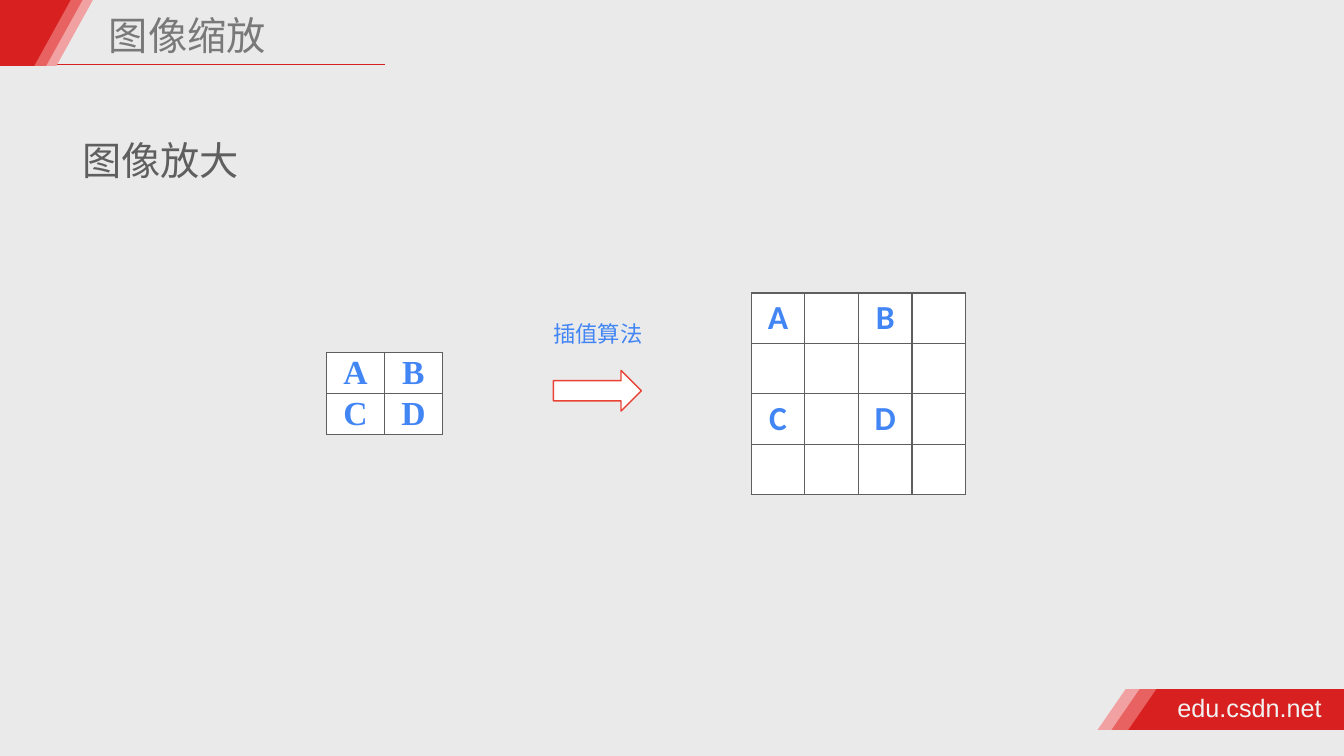
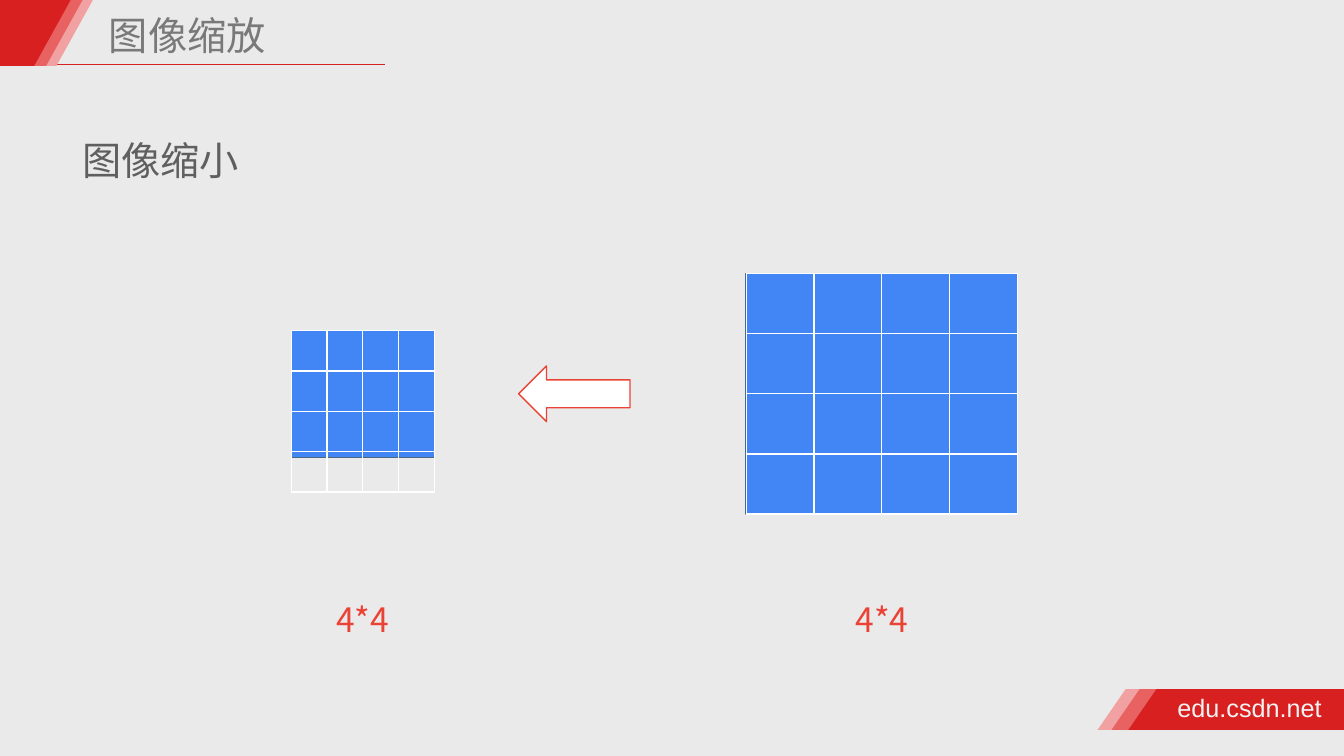
from lxml import etree
from pptx import Presentation
from pptx import util as u
from pptx.dml.color import RGBColor
from pptx.enum import shapes, text
from pptx.oxml import ns

Pt = u.Pt
SHAPE = shapes.MSO_SHAPE
LEFT, MID = text.PP_ALIGN.LEFT, text.PP_ALIGN.CENTER

PAPER = RGBColor(0xEA, 0xEA, 0xEA)
WHITE = RGBColor(0xFF, 0xFF, 0xFF)
PALE = RGBColor(0xF1, 0xA1, 0xA1)
ROSE = RGBColor(0xE8, 0x62, 0x62)
RED = RGBColor(0xD8, 0x20, 0x20)
CORAL = RGBColor(0xEA, 0x43, 0x35)
BLUE = RGBColor(0x42, 0x85, 0xF4)
STEEL = RGBColor(0x4A, 0x69, 0x82)
GRAY = RGBColor(0x79, 0x79, 0x79)
DARK = RGBColor(0x5F, 0x5F, 0x5F)
MIST = RGBColor(0xF2, 0xF2, 0xF2)

WIDE, HIGH = 960, 540
SANS = "Noto Sans CJK SC"


class Deck:
    def __init__(self):
        self.prs = Presentation()
        self.prs.slide_width, self.prs.slide_height = Pt(WIDE), Pt(HIGH)
        self.slide = None

    def page(self, title, topic):
        self.slide = self.prs.slides.add_slide(self.prs.slide_layouts[6])
        fill = self.slide.background.fill
        fill.solid()
        fill.fore_color.rgb = PAPER
        self.rule(35.3, 275, 46.1)
        for color, foot, head in ((PALE, 784, 66.4), (ROSE, 794, 59), (RED, 806, 50.5)):
            self.band([(foot + 20, 492.3), (WIDE, 492.3), (WIDE, 521.3), (foot, 521.3)], color)
            self.band([(0, 0), (head, 0), (head - 26, 47), (0, 47)], color)
        self.label("edu.csdn.net", 837.4, 491, 111.6, 29, 18, MIST, font="Arial", wrap=False)
        self.label(title, 74.2, 8.6, 314, 38.2, 28, GRAY, lead=0.9)
        self.label(topic, 51.8, 77, 468, 51.8, 28, DARK, lead=1.5, side=7.2)

    def style(self, para, size, color, font, bold=False, align=LEFT):
        para.alignment = align
        para.font.size, para.font.name, para.font.bold = Pt(size), font, bold
        para.font.color.rgb = color
        props = para._p.get_or_add_pPr().get_or_add_defRPr()
        etree.SubElement(props, ns.qn("a:ea"), typeface=font)

    def label(self, words, x, y, w, h, size, color, font=SANS, lead=1.0,
              align=LEFT, side=3.6, wrap=True):
        frame = self.slide.shapes.add_textbox(Pt(x), Pt(y), Pt(w), Pt(h)).text_frame
        frame.word_wrap = wrap
        frame.auto_size = text.MSO_AUTO_SIZE.SHAPE_TO_FIT_TEXT
        frame.margin_left = frame.margin_right = Pt(side)
        frame.margin_top = frame.margin_bottom = Pt(3.6)
        para = frame.paragraphs[0]
        para.text = words
        para.line_spacing = lead
        self.style(para, size, color, font, align=align)

    def paint(self, shape, fill, line=None):
        shape.shadow.inherit = False
        shape.fill.solid()
        shape.fill.fore_color.rgb = fill
        if line is None:
            shape.line.fill.background()
        else:
            shape.line.color.rgb = line
            shape.line.width = Pt(1)

    def block(self, kind, x, y, w, h, fill, line):
        shape = self.slide.shapes.add_shape(kind, Pt(x), Pt(y), Pt(w), Pt(h))
        self.paint(shape, fill, line)

    def band(self, spots, color):
        first, *rest = [(Pt(x), Pt(y)) for x, y in spots]
        path = self.slide.shapes.build_freeform(*first)
        path.add_line_segments(rest, close=True)
        self.paint(path.convert_to_shape(), color)

    def rule(self, start, end, y):
        line = self.slide.shapes.add_connector(
            shapes.MSO_CONNECTOR.STRAIGHT, Pt(start), Pt(y), Pt(end), Pt(y))
        line.line.color.rgb = RED
        line.line.width = Pt(1)
        etree.SubElement(line._element.spPr, ns.qn("a:effectLst"))

    def edge(self, cell, color):
        props = cell._tc.get_or_add_tcPr()
        for side in ("lnL", "lnR", "lnT", "lnB"):
            line = etree.SubElement(props, ns.qn("a:" + side), w=str(Pt(1)))
            fill = etree.SubElement(line, ns.qn("a:solidFill"))
            etree.SubElement(fill, ns.qn("a:srgbClr"), val=str(color))

    def grid(self, rows, x, y, wide, high, line, fill=None, font=SANS):
        count = len(rows[0])
        table = self.slide.shapes.add_table(
            len(rows), count, Pt(x), Pt(y), Pt(wide * count), Pt(high * len(rows))).table
        table.first_row = table.horz_banding = False
        for col in table.columns:
            col.width = Pt(wide)
        for row, words in zip(table.rows, rows):
            row.height = Pt(high)
            for cell, word in zip(row.cells, words):
                cell.margin_left = cell.margin_right = 0
                cell.margin_top = cell.margin_bottom = 0
                cell.vertical_anchor = text.MSO_ANCHOR.MIDDLE
                self.edge(cell, line)
                if fill is None:
                    cell.fill.background()
                else:
                    cell.fill.solid()
                    cell.fill.fore_color.rgb = fill
                if word:
                    para = cell.text_frame.paragraphs[0]
                    para.text = word
                    self.style(para, 24, BLUE, font, True, MID)


def main():
    deck = Deck()

    deck.page("图像缩放", "图像放大")
    deck.grid(["AB", "CD"], 233.2, 251.8, 41.4, 29.3, DARK, WHITE, "Times New Roman")
    gap = [""] * 4
    deck.grid([["A", "", "B", ""], gap, ["C", "", "D", ""], gap],
              536.6, 209.3, 38.3, 36, DARK, WHITE, "Calibri")
    deck.block(SHAPE.RIGHT_ARROW, 395.3, 264.6, 62.8, 29, WHITE, CORAL)
    deck.label("插值算法", 391, 215.3, 72, 36, 16, BLUE, lead=1.5, align=MID, wrap=False)

    deck.page("图像缩放", "图像缩小")
    blank = [gap] * 4
    sets = ((208, 236.2, 102.2, 90.7, 28.8, 223.2), (533, 195.3, 193.7, 172, 43, 594))
    for x, y, w, h, high, left in sets:
        deck.block(SHAPE.RECTANGLE, x, y, w, h, BLUE, STEEL)
        deck.grid(blank, x, y, w / 4, high, WHITE)
        deck.label("4*4", left, 409.7, 72, 51, 24, CORAL, lead=1.5, align=MID)
    deck.block(SHAPE.LEFT_ARROW, 370.5, 261.4, 79.5, 39.8, WHITE, CORAL)

    deck.prs.save("out.pptx")


if __name__ == "__main__":
    main()
